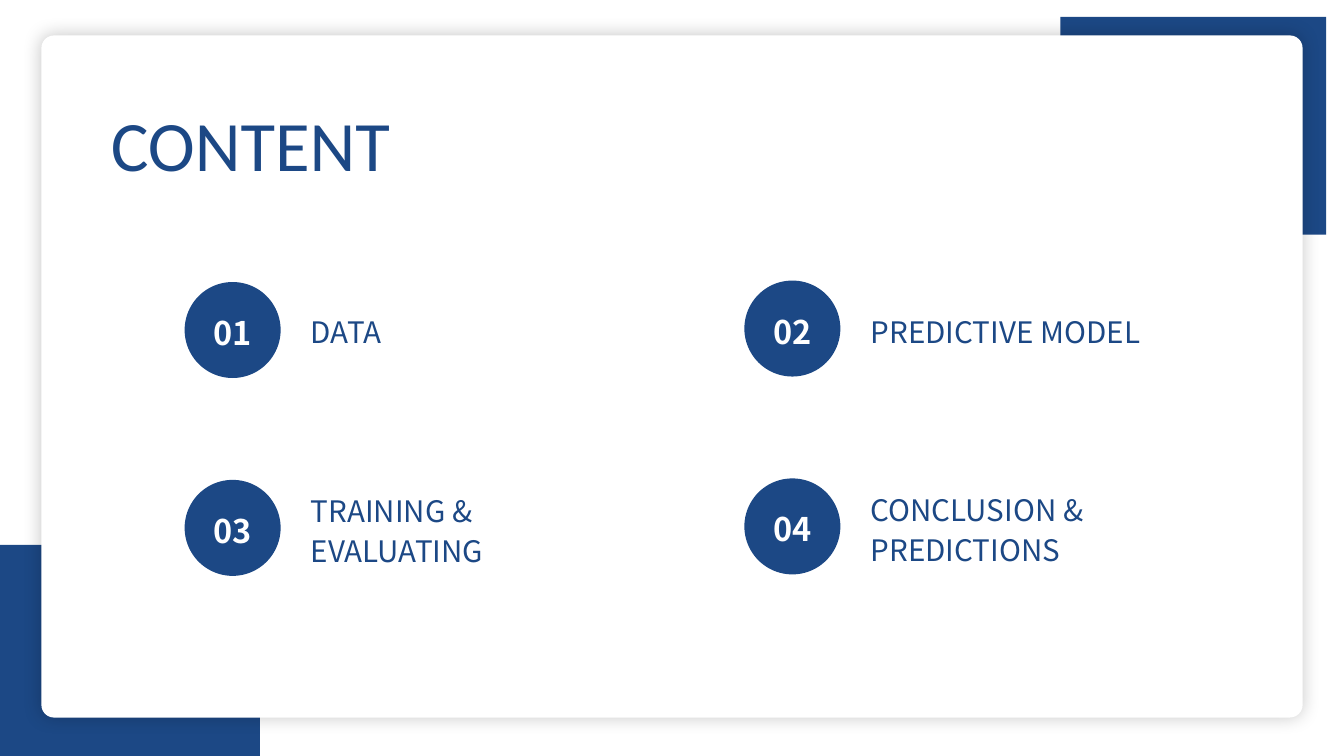
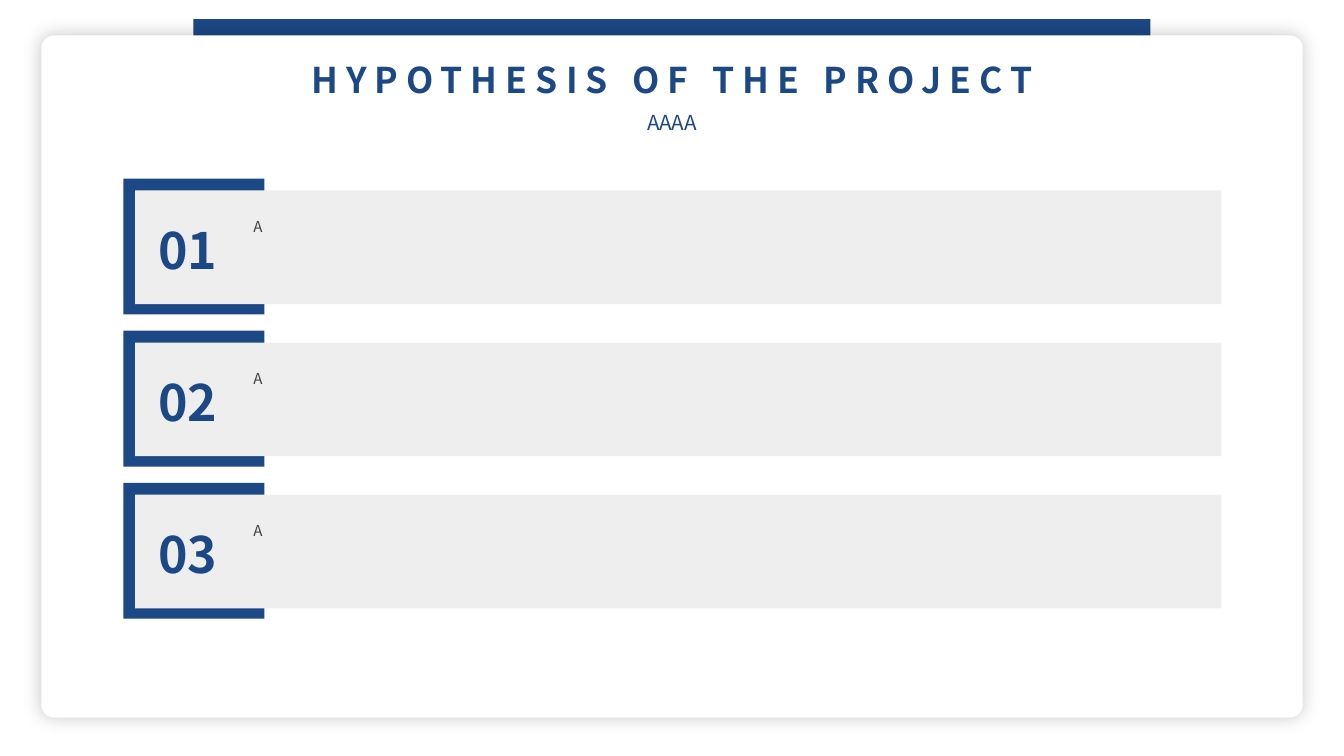
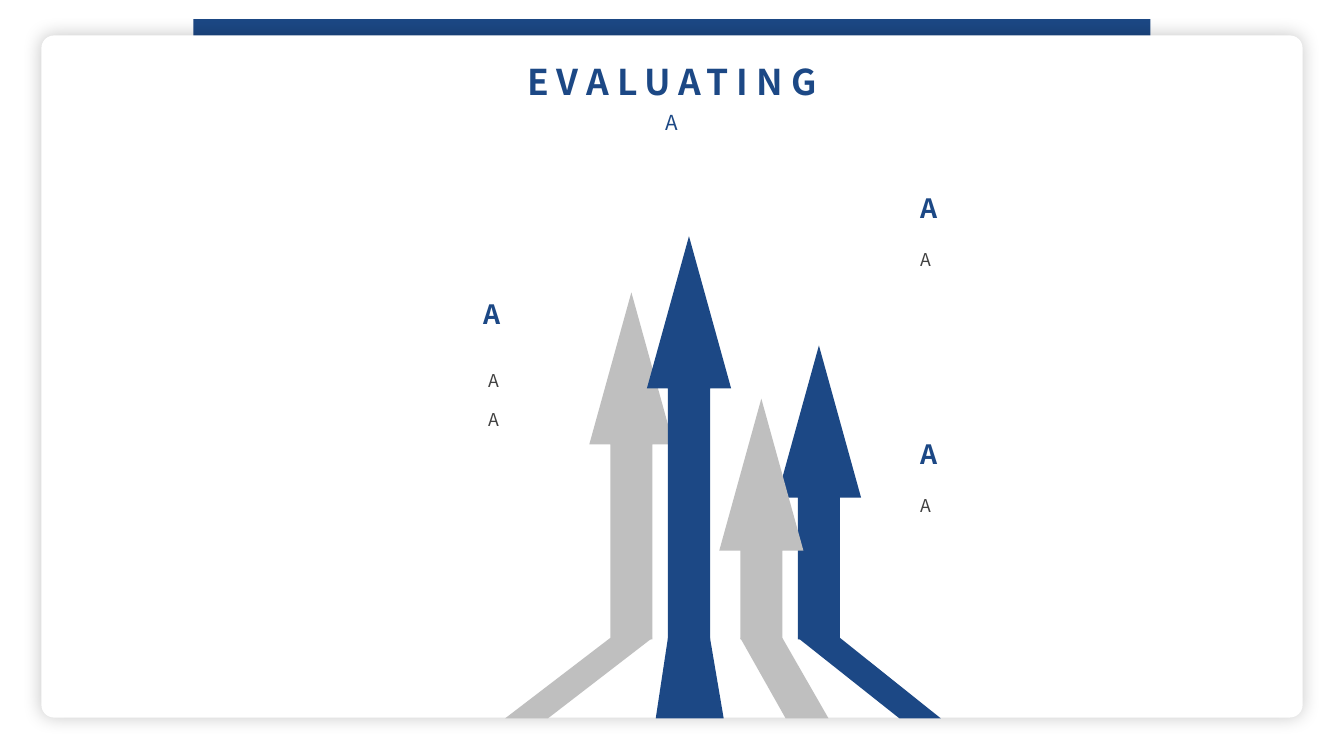
from lxml.etree import SubElement
from pptx import Presentation
from pptx.dml.color import RGBColor
from pptx.enum.shapes import MSO_SHAPE
from pptx.enum.text import MSO_ANCHOR, MSO_AUTO_SIZE, PP_ALIGN
from pptx.oxml.ns import qn
from pptx.util import Pt

COLORS = {"blue": "1C4885", "white": "FFFFFF", "pale": "EEEEEE",
          "grey": "BFBFBF", "text": "414141"}
SANS, TITLE = "Noto Sans CJK SC", "Calibri"
WIDE, HIGH = 910, 512
PANEL = (28, 24, 854, 462)
LINE = 1.13


def tint(name):
    return RGBColor.from_string(COLORS[name])


def paint(shape, color):
    shape.shadow.inherit = False
    shape.fill.solid()
    shape.fill.fore_color.rgb = tint(color)
    shape.line.fill.background()
    return shape


def block(shapes, kind, box, color):
    return paint(shapes.add_shape(kind, *map(Pt, box)), color)


def write(frame, lines, size, color, bold=False, font=SANS,
          align=PP_ALIGN.LEFT, gap=0, track=0):
    """Fill a frame; gap is the space between paragraphs, track the letter spacing."""
    for i, line in enumerate(lines):
        para = frame.paragraphs[0] if i == 0 else frame.add_paragraph()
        run = para.add_run()
        run.text = line
        para.alignment = align
        para.line_spacing = LINE
        if i and gap:
            para.space_before = Pt(gap)
        para.font.name = font
        para.font.size = Pt(size)
        para.font.bold = bold
        para.font.color.rgb = tint(color)
        if track:
            run._r.get_or_add_rPr().set("spc", str(int(track * 100)))


def label(slide, box, lines, size, color, **style):
    frame = slide.shapes.add_textbox(*map(Pt, box)).text_frame
    frame.word_wrap = True
    frame.auto_size = MSO_AUTO_SIZE.SHAPE_TO_FIT_TEXT
    frame.margin_left = frame.margin_right = Pt(2)
    frame.margin_top = frame.margin_bottom = Pt(1)
    write(frame, lines, size, color, **style)


def panel(slide):
    """White rounded card with a soft shadow all round."""
    card = block(slide.shapes, MSO_SHAPE.ROUNDED_RECTANGLE, PANEL, "white")
    card.adjustments[0] = 8.6 / PANEL[3]
    effects = card._element.spPr.find(qn("a:effectLst"))
    shadow = SubElement(effects, qn("a:outerShdw"), blurRad=str(Pt(12)),
                        dist="0", dir="5400000", algn="ctr", rotWithShape="0")
    shade = SubElement(shadow, qn("a:srgbClr"), val="000000")
    SubElement(shade, qn("a:alpha"), val="21000")


def header(slide, title, sub, top):
    """Blue band behind the card, with centred title and subtitle."""
    block(slide.shapes, MSO_SHAPE.RECTANGLE, (131, 13, 648, 30), "blue")
    panel(slide)
    label(slide, (171, top, 568, 33), [title], 24, "blue", bold=True,
          align=PP_ALIGN.CENTER, track=5.5)
    label(slide, (230, 71, 450, 20), [sub], 14, "blue", align=PP_ALIGN.CENTER)


def entry(slide, x, y, num, lines, drop):
    """Numbered disc with its topic; drop is the text's offset from the disc top."""
    disc = block(slide.shapes, MSO_SHAPE.OVAL, (x, y, 65, 65), "blue")
    frame = disc.text_frame
    frame.word_wrap = False
    frame.vertical_anchor = MSO_ANCHOR.MIDDLE
    frame.margin_left = frame.margin_right = 0
    write(frame, [num], 22, "white", bold=True, align=PP_ALIGN.CENTER)
    label(slide, (x + 83.5, y + drop, 203, 28 * len(lines)), lines, 20, "blue")


def content(slide):
    for box in ((718, 11.5, 180, 147.5), (0, 369, 176, HIGH - 369)):
        block(slide.shapes, MSO_SHAPE.RECTANGLE, box, "blue")
    panel(slide)
    label(slide, (73, 60, 298, 82), ["CONTENT"], 48, "blue", font=TITLE)
    topics = (["DATA"], ["PREDICTIVE MODEL"],
              ["TRAINING &", "EVALUATING"], ["CONCLUSION &", "PREDICTIONS"])
    for i, lines in enumerate(topics):
        row, col = divmod(i, 2)
        drop = 5 if row else 17.5 + col
        entry(slide, 125 + 379 * col, 191 - col + 134 * row,
              f"{i + 1:02}", lines, drop)


def point(slide, x, y, num, text):
    """Grey bar in a blue bracket, with a number and a short text."""
    block(slide.shapes, MSO_SHAPE.RECTANGLE, (x, y, 95.5, 92), "blue")
    block(slide.shapes, MSO_SHAPE.RECTANGLE, (x + 8, y + 8, 735.5, 77), "pale")
    label(slide, (x + 21.5, y + 21.5, 53, 49), [num], 33.9, "blue", bold=True)
    label(slide, (x + 86, y + 23.5, 209, 15), [text], 10.2, "text")


def ideas(slide):
    header(slide, "HYPOTHESIS OF THE PROJECT", "AAAA", 34.5)
    for i in range(3):
        point(slide, 83.5, 121 + 103 * i, f"{i + 1:02}", "A")


def arrow(shapes, x, tip, left, right, color):
    """Upright arrow whose shaft runs on in a leg to left..right on the card's edge."""
    width, bend, foot = 57, 433, 486.5
    head = block(shapes, MSO_SHAPE.UP_ARROW, (x, tip, width, bend - tip), color)
    head.adjustments[0] = 0.5
    head.adjustments[1] = 103 / width
    inset = width / 4
    leg = shapes.build_freeform(Pt(x + inset), Pt(bend - 1))
    corners = ((x + width - inset, bend - 1), (right, foot), (left, foot))
    leg.add_line_segments([(Pt(a), Pt(b)) for a, b in corners])
    paint(leg.convert_to_shape(), color)


def note(slide, x, y, width, head, body, drop, align=PP_ALIGN.LEFT):
    label(slide, (x, y, width, 25), [head], 18, "blue", bold=True, align=align)
    label(slide, (x, y + drop, width - 1, 17), body, 12, "text",
          align=align, gap=10)


def review(slide):
    header(slide, "EVALUATING", "A", 36)
    group = slide.shapes.add_group_shape()
    for spec in ((399, 198, 342, 371, "grey"), (526, 234, 609, 637, "blue"),
                 (487, 270, 532, 561, "grey"), (438, 160, 444, 490, "blue")):
        arrow(group.shapes, *spec)
    note(slide, 76, 198, 265, "A", ["A", "A"], 49.5, PP_ALIGN.RIGHT)
    for y in (126, 293):
        note(slide, 621.5, y, 219, "A", ["A"], 39.5)


def main():
    deck = Presentation()
    deck.slide_width, deck.slide_height = Pt(WIDE), Pt(HIGH)
    for build in (content, ideas, review):
        build(deck.slides.add_slide(deck.slide_layouts[6]))
    deck.save("out.pptx")


if __name__ == "__main__":
    main()
